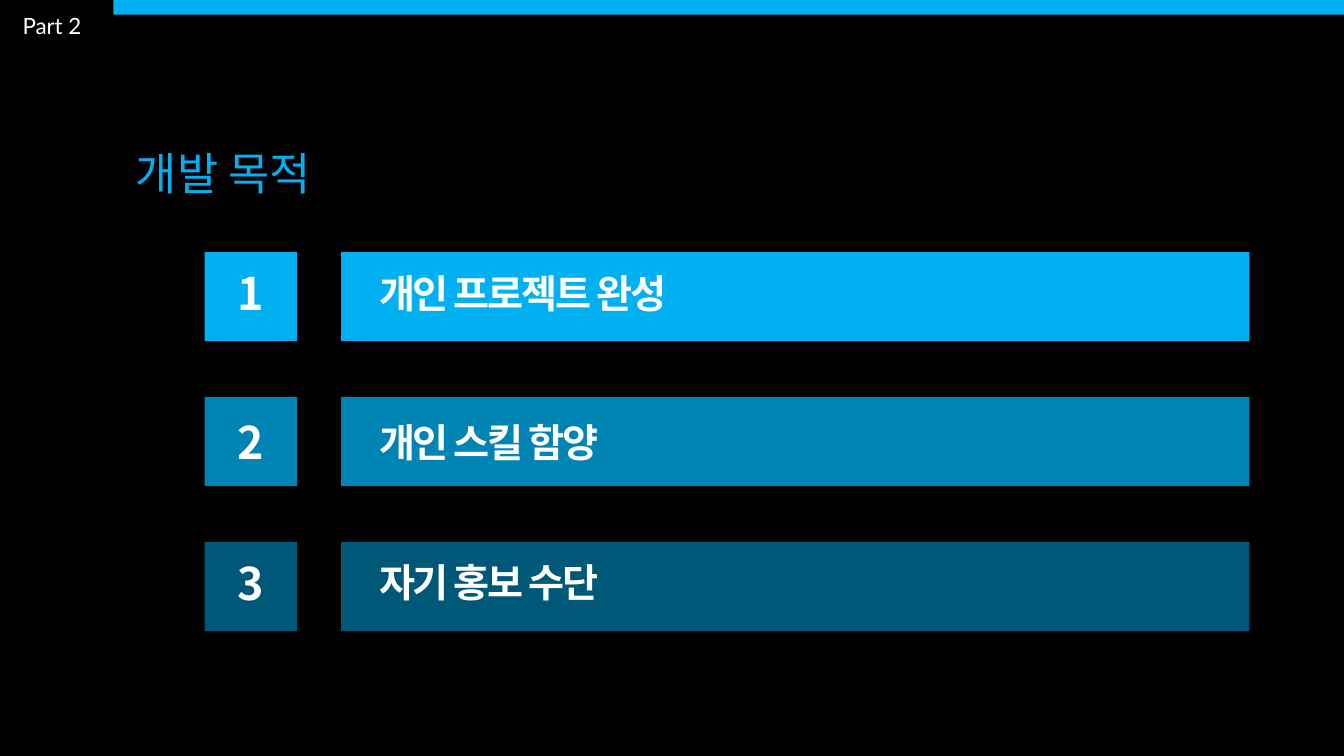
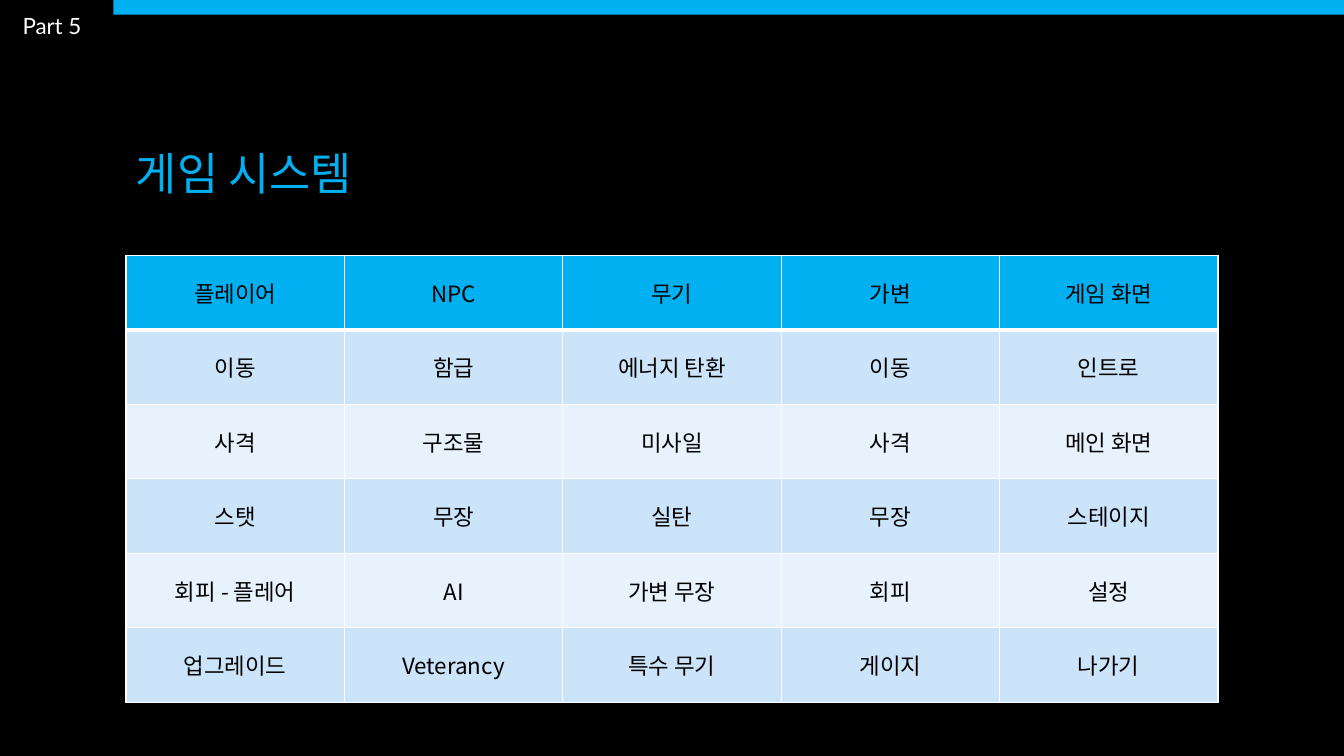
"""Build two slides of a game project deck: its goals and its systems."""
from dataclasses import dataclass

from lxml import etree
from pptx import Presentation
from pptx.dml.color import RGBColor
from pptx.enum.shapes import MSO_SHAPE
from pptx.enum.text import MSO_ANCHOR, PP_ALIGN
from pptx.oxml.ns import qn
from pptx.util import Emu, Pt

RECT = MSO_SHAPE.RECTANGLE
TOP, MIDDLE = MSO_ANCHOR.TOP, MSO_ANCHOR.MIDDLE
LEFT, CENTER = PP_ALIGN.LEFT, PP_ALIGN.CENTER

BLACK = RGBColor(0x00, 0x00, 0x00)
WHITE = RGBColor(0xFF, 0xFF, 0xFF)
SKY = RGBColor(0x00, 0xB0, 0xF0)
BLUE = RGBColor(0x00, 0x84, 0xB4)
NAVY = RGBColor(0x00, 0x58, 0x78)
PALE = RGBColor(0xCC, 0xE4, 0xF9)
MIST = RGBColor(0xE7, 0xF2, 0xFC)

SCALE = 9525
WIDTH, HEIGHT = 1280, 720
KOREAN, LATIN = "Noto Sans CJK KR", "Lato"


@dataclass(frozen=True)
class Box:
    left: int
    top: int
    width: int
    height: int

    def emu(self) -> tuple[Emu, ...]:
        return tuple(px(n) for n in (self.left, self.top, self.width, self.height))


@dataclass(frozen=True)
class Style:
    size: int
    color: RGBColor
    font: str = KOREAN
    bold: bool = False
    space: int = 0


@dataclass(frozen=True)
class Goal:
    text: str
    color: RGBColor
    lift: int = 0


TITLE = Style(32, SKY)
PART = Style(16, WHITE, LATIN)
NUMBER = Style(32, WHITE, bold=True)
LABEL = Style(28, WHITE, bold=True, space=-150)
CELL = Style(16, BLACK)

GOALS = (
    Goal("개인 프로젝트 완성", SKY, 4),
    Goal("개인 스킬 함양", BLUE),
    Goal("자기 홍보 수단", NAVY, 4),
)
GOAL_TOP, GOAL_STEP, GOAL_HIGH = 240, 138, 85

SYSTEMS = (
    ("플레이어", "NPC", "무기", "가변", "게임 화면"),
    ("이동", "함급", "에너지 탄환", "이동", "인트로"),
    ("사격", "구조물", "미사일", "사격", "메인 화면"),
    ("스탯", "무장", "실탄", "무장", "스테이지"),
    ("회피 - 플레어", "AI", "가변 무장", "회피", "설정"),
    ("업그레이드", "Veterancy", "특수 무기", "게이지", "나가기"),
)
GRID = Box(120, 243, 1040, 426)


def px(n: int) -> Emu:
    return Emu(n * SCALE)


def write(frame, text: str, style: Style, align=LEFT) -> None:
    line = frame.paragraphs[0]
    line.alignment = align
    run = line.add_run()
    run.text = text
    font = run.font
    font.name, font.size, font.bold = style.font, Pt(style.size), style.bold
    font.color.rgb = style.color
    props = run._r.get_or_add_rPr()
    if style.space:
        props.set("spc", str(style.space))
    etree.SubElement(props, qn("a:ea")).set("typeface", style.font)


def add_text(slide, box: Box, text: str, style: Style, anchor=TOP) -> None:
    frame = slide.shapes.add_textbox(*box.emu()).text_frame
    frame.word_wrap = True
    frame.vertical_anchor = anchor
    write(frame, text, style)


def add_rect(slide, box: Box, color: RGBColor):
    rect = slide.shapes.add_shape(RECT, *box.emu())
    rect.shadow.inherit = False
    rect.fill.solid()
    rect.fill.fore_color.rgb = color
    rect.line.fill.background()
    return rect


def add_tile(slide, box: Box, goal: Goal, text: str, style: Style,
             align, inset: int) -> None:
    frame = add_rect(slide, box, goal.color).text_frame
    frame.word_wrap = False
    frame.vertical_anchor = MIDDLE
    frame.margin_left = frame.margin_right = px(inset)
    frame.margin_top, frame.margin_bottom = 0, px(2 * goal.lift)
    write(frame, text, style, align)


def add_slide(deck, part: str, title: str):
    slide = deck.slides.add_slide(deck.slide_layouts[6])
    fill = slide.background.fill
    fill.solid()
    fill.fore_color.rgb = BLACK
    add_text(slide, Box(120, 64, 1040, 200), title, TITLE, MIDDLE)
    add_rect(slide, Box(108, 0, WIDTH - 108, 14), SKY)
    add_text(slide, Box(12, 7, 108, 36), part, PART)
    return slide


def add_goals(slide) -> None:
    for i, goal in enumerate(GOALS):
        top = GOAL_TOP + i * GOAL_STEP
        add_tile(slide, Box(195, top, 88, GOAL_HIGH), goal,
                 str(i + 1), NUMBER, CENTER, 0)
        add_tile(slide, Box(325, top, 865, GOAL_HIGH), goal,
                 goal.text, LABEL, LEFT, 36)


def add_edge(cell, side: str, points: int) -> None:
    edge = etree.SubElement(cell._tc.get_or_add_tcPr(), qn(f"a:ln{side}"))
    edge.set("w", str(Pt(points)))
    fill = etree.SubElement(edge, qn("a:solidFill"))
    etree.SubElement(fill, qn("a:srgbClr")).set("val", str(WHITE))


def add_grid(slide) -> None:
    rows, cols = len(SYSTEMS), len(SYSTEMS[0])
    table = slide.shapes.add_table(rows, cols, *GRID.emu()).table
    table.horz_banding = False
    for col in table.columns:
        col.width = px(GRID.width // cols)
    for i, texts in enumerate(SYSTEMS):
        table.rows[i].height = px(GRID.height // rows)
        color = SKY if i == 0 else (MIST, PALE)[i % 2]
        edges = {"L": 1, "R": 1, "T": 3 if i == 1 else 1, "B": 3 if i == 0 else 1}
        for j, text in enumerate(texts):
            cell = table.cell(i, j)
            cell.vertical_anchor = MIDDLE
            for side, points in edges.items():
                add_edge(cell, side, points)
            cell.fill.solid()
            cell.fill.fore_color.rgb = color
            write(cell.text_frame, text, CELL, CENTER)


def main() -> None:
    deck = Presentation()
    deck.slide_width, deck.slide_height = px(WIDTH), px(HEIGHT)
    add_goals(add_slide(deck, "Part 2", "개발 목적"))
    add_grid(add_slide(deck, "Part 5", "게임 시스템"))
    deck.save("out.pptx")


if __name__ == "__main__":
    main()
